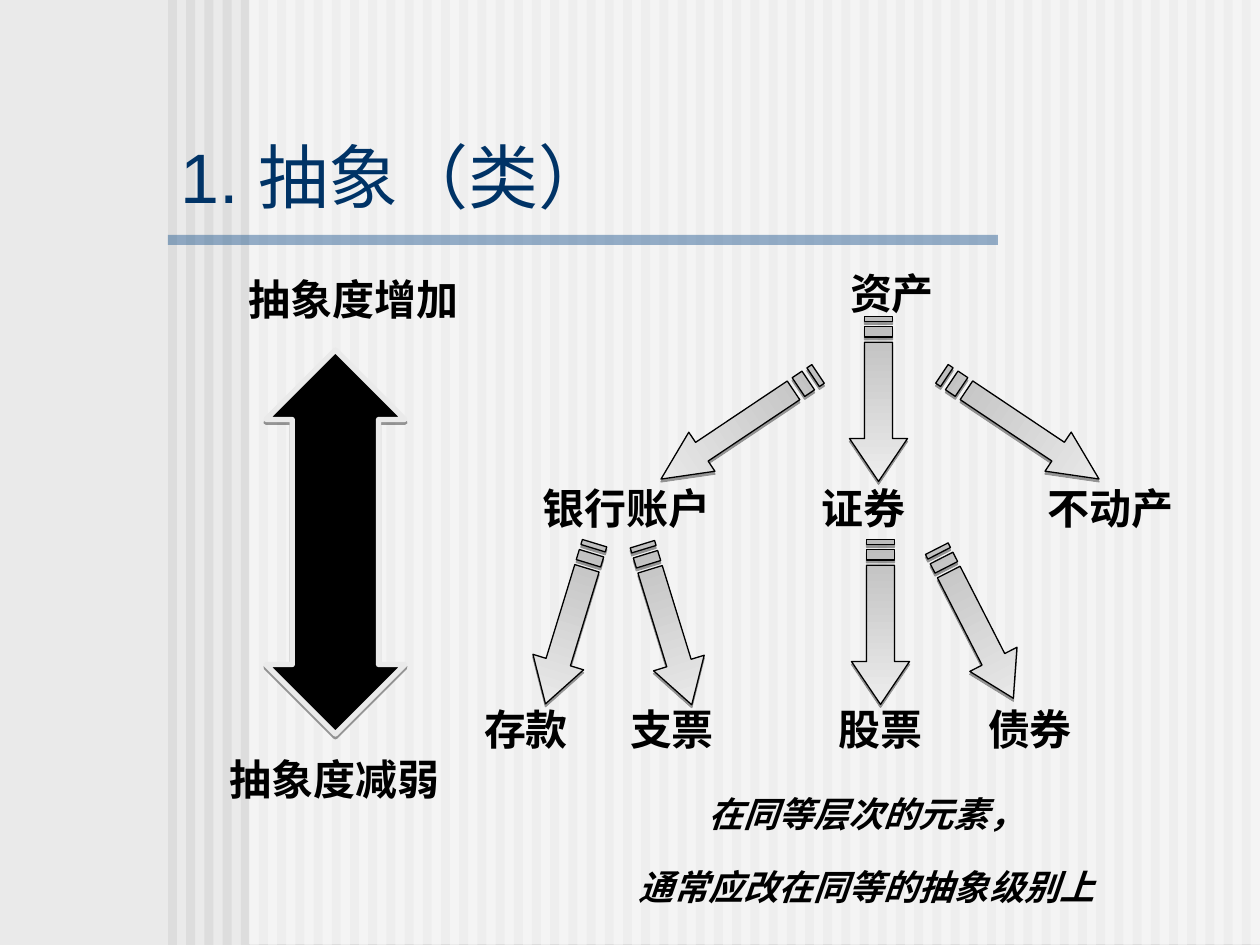
from pptx import Presentation
from pptx.dml.color import RGBColor
from pptx.enum.shapes import MSO_SHAPE
from pptx.enum.text import MSO_ANCHOR, PP_ALIGN
from pptx.oxml import parse_xml
from pptx.oxml.ns import nsdecls
from pptx.util import Emu, Pt

PX = 914400 / 126
SHADOW = (f'<a:effectLst {nsdecls("a")}><a:outerShdw blurRad="0" dist="20320" dir="5400000" '
          'rotWithShape="0"><a:srgbClr val="000000"><a:alpha val="38000"/></a:srgbClr>'
          '</a:outerShdw></a:effectLst>')


def px(*nums):
    """Turn pixel lengths into EMU."""
    return [Emu(round(n * PX)) for n in nums]


def color(code):
    return RGBColor.from_string(code)


prs = Presentation()
prs.slide_width, prs.slide_height = px(1260, 945)
slide = prs.slides.add_slide(prs.slide_layouts[5])
shapes = slide.shapes
slide.background.fill.solid()
slide.background.fill.fore_color.rgb = color("EAEAEA")

# Striped backdrop, pale veil and title rule
bars = [(168 + i * 18.2, 0, 9, 945, "DDDDDD", 100) for i in range(60)]
bars += [(249, 0, 1011, 944, "FFFFFF", 50), (168, 235, 830, 10, "336699", 50)]
for x, y, w, h, code, alpha in bars:
    bar = shapes.add_shape(MSO_SHAPE.RECTANGLE, *px(x, y, w, h))
    bar.shadow.inherit = False
    bar.line.fill.background()
    bar.fill.solid()
    bar.fill.fore_color.rgb = color(code)
    if alpha < 100:
        tint = bar.fill._xPr.find(".//{*}srgbClr")
        tint.append(parse_xml(f'<a:alpha {nsdecls("a")} val="{alpha * 1000}"/>'))

# Title, brought in front of the backdrop
title = shapes.title
title.left, title.top, title.width, title.height = px(168, 146, 924, 78)
shapes._spTree.append(title._element)
title.text_frame.vertical_anchor = MSO_ANCHOR.BOTTOM
para = title.text_frame.paragraphs[0]
para.alignment = PP_ALIGN.LEFT
run = para.add_run()
run.text = "1. 抽象（类）"
run.font.name, run.font.size = "Arial", Pt(40)
run.font.color.rgb = color("003366")

# Scale of abstraction
scale = shapes.add_shape(MSO_SHAPE.UP_DOWN_ARROW, *px(266, 350, 139, 384))
scale.adjustments[0], scale.adjustments[1] = 0.45, 0.62
scale.fill.solid()
scale.fill.fore_color.rgb = color("000000")
scale.line.color.rgb = color("EAEAEA")
scale.line.width = Pt(3)
scale._element.spPr.append(parse_xml(SHADOW))

# Text: lines, box, inset, size, italic
texts = [
    (["抽象度减弱"], (217, 753, 236, 58), 1, 24, False),
    (["抽象度增加"], (236, 273, 236, 58), 1, 24, False),
    (["在同等层次的元素，", "通常应改在同等的抽象级别上"], (494, 793, 745, 121), 1, 20, True),
]
rows = [
    (273, [("资产", 850)]),
    (488, [("银行账户", 543), ("证券", 822), ("不动产", 1048)]),
    (709, [("存款", 484), ("支票", 630), ("股票", 839), ("债券", 988)]),
]
for y, names in rows:
    texts += [([name], (x, y, 42 * len(name), 45), 0, 24, False) for name, x in names]

for lines, box, inset, size, slant in texts:
    frame = shapes.add_textbox(*px(*box)).text_frame
    frame.word_wrap = slant
    frame.margin_left = frame.margin_right = Pt(7.2 * inset)
    frame.margin_top = frame.margin_bottom = Pt(3.6 * inset)
    for i, line in enumerate(lines):
        para = frame.add_paragraph() if i else frame.paragraphs[0]
        para.alignment = PP_ALIGN.CENTER if inset else PP_ALIGN.LEFT
        para.line_spacing = 0.85 if slant else 0.9
        if i:
            para.space_before = Pt(21.3)
        run = para.add_run()
        run.text = line
        run.font.name, run.font.size = "Arial", Pt(size)
        run.font.bold, run.font.italic = True, slant
        run.font.color.rgb = color("000000")

# Striped arrows: outlines as shares of length and width, pointing right
parts = [[(a / 32, 0.26), (b / 32, 0.26), (b / 32, 0.74), (a / 32, 0.74)]
         for a, b in [(0, 1), (2, 4)]]
parts.append([(5 / 32, 0.26), (0.74, 0.26), (0.74, 0), (1, 0.5),
              (0.74, 1), (0.74, 0.74), (5 / 32, 0.74)])
arrows = [
    (645, 403, 189, 47, 146.2), (486, 597, 168, 53, 107), (926, 403, 189, 47, 33.8),
    (583, 598, 168, 53, 72.9), (891, 597, 168, 53, 62.9),
    (798, 593, 165, 58, 90), (796, 370, 165, 58, 90),
]
for x, y, w, h, turn in arrows:
    pen = None
    for part in parts:
        spots = [px(x + u * w, y + v * h) for u, v in part]
        if pen is None:
            pen = shapes.build_freeform(*spots[0])
        else:
            pen.move_to(*spots[0])
        pen.add_line_segments(spots[1:], close=True)
    arrow = pen.convert_to_shape()
    arrow.rotation = turn
    arrow.fill.gradient()
    arrow.fill.gradient_angle = 0
    for stop, code, place in zip(arrow.fill.gradient_stops, ("BCBCBC", "EDEDED"), (0, 1)):
        stop.color.rgb = color(code)
        stop.position = place
    arrow.line.color.rgb = color("000000")
    arrow.line.width = Pt(0.75)
    arrow._element.spPr.append(parse_xml(SHADOW))

prs.save("out.pptx")
